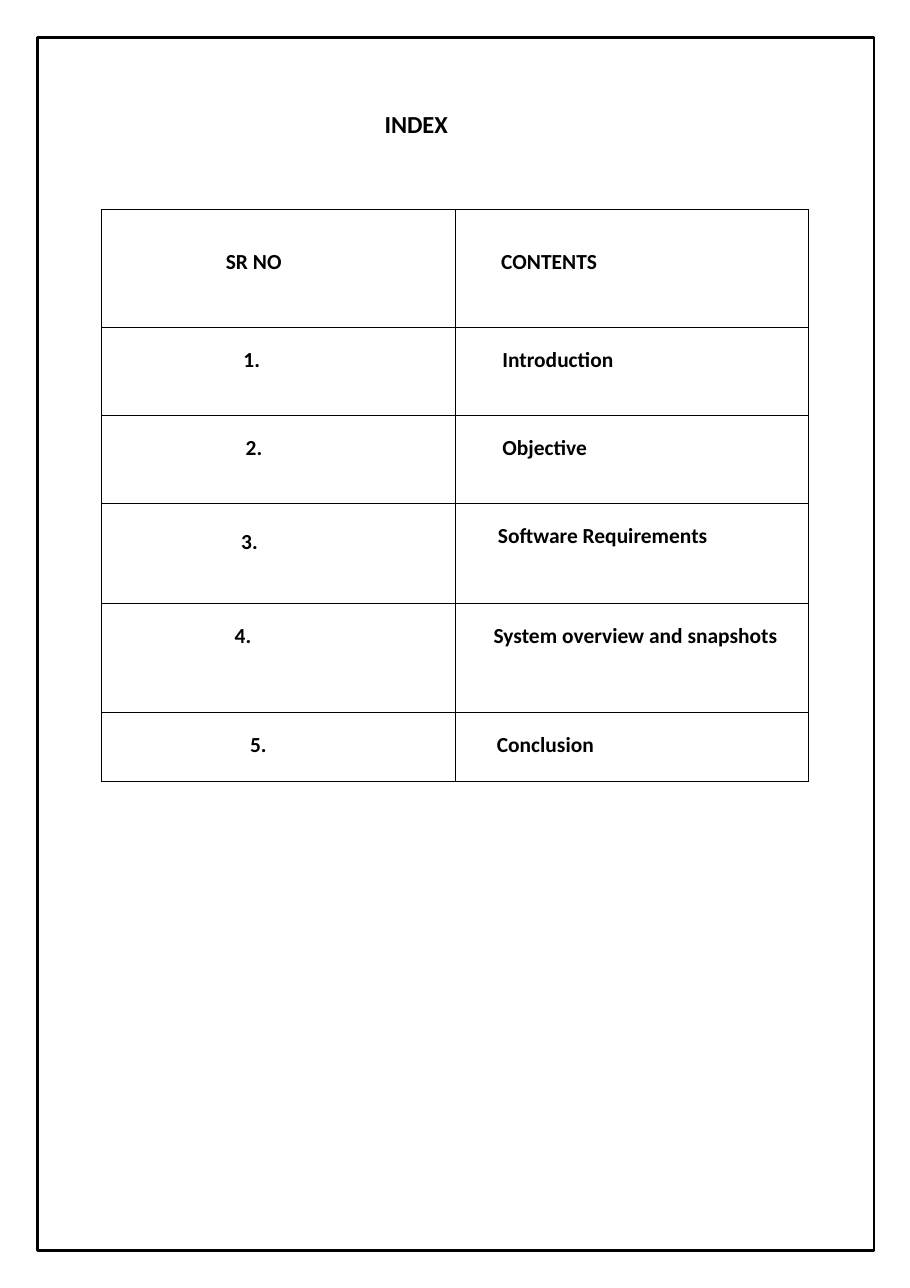
import pptx
import pptx.util
import pptx.dml.color
import pptx.enum.shapes
import pptx.enum.text
import pptx.oxml
import pptx.oxml.ns

Inches = pptx.util.Inches
BLACK = pptx.dml.color.RGBColor(0, 0, 0)
FONT = {"name": "Calibri", "bold": True}
WIDTH = 3.21
TOP = 0.18

# row height, then (text, left inset, top inset) for each cell
ROWS = [
    (1.07, ("SR NO", 1.13, 0.36), ("CONTENTS", 0.42, 0.36)),
    (0.8, ("1.", 1.29, TOP), ("Introduction", 0.43, TOP)),
    (0.8, ("2.", 1.31, TOP), ("Objective", 0.43, TOP)),
    (0.91, ("3.", 1.27, 0.23), ("Software Requirements", 0.39, TOP)),
    (0.99, ("4.", 1.21, TOP), ("System overview and snapshots", 0.35, TOP)),
    (0.62, ("5.", 1.35, TOP), ("Conclusion", 0.38, TOP)),
]


def style(item, values):
    for name, value in values.items():
        setattr(item, name, value)


def write(frame, text, size):
    frame.text = text
    para = frame.paragraphs[0]
    para.alignment = pptx.enum.text.PP_ALIGN.LEFT
    font = para.runs[0].font
    style(font, {**FONT, "size": pptx.util.Pt(size)})
    font.color.rgb = BLACK


def add_title(slide):
    title = slide.shapes.title
    style(title, {"left": Inches(3.49), "top": Inches(0.97),
                  "width": Inches(0.61), "height": Inches(0.3)})
    frame = title.text_frame
    style(frame, {"margin_left": 0, "margin_right": 0, "margin_bottom": 0,
                  "margin_top": Inches(0.02), "word_wrap": False,
                  "auto_size": pptx.enum.text.MSO_AUTO_SIZE.NONE,
                  "vertical_anchor": pptx.enum.text.MSO_ANCHOR.TOP})
    write(frame, "INDEX", 16)


def add_border(cell):
    props = cell._tc.get_or_add_tcPr()
    for spot, side in enumerate("LRTB"):
        line = pptx.oxml.parse_xml(
            f'<a:ln{side} {pptx.oxml.ns.nsdecls("a")} w="{pptx.util.Pt(0.5)}">'
            f'<a:solidFill><a:srgbClr val="{BLACK}"/></a:solidFill>'
            f'</a:ln{side}>')
        props.insert(spot, line)


def fill_cell(cell, text, left, top):
    style(cell, {"margin_left": Inches(left), "margin_top": Inches(top),
                 "margin_right": 0, "margin_bottom": 0,
                 "vertical_anchor": pptx.enum.text.MSO_ANCHOR.TOP})
    cell.fill.background()
    add_border(cell)
    write(cell.text_frame, text, 14)


def add_index(slide):
    height = sum(row[0] for row in ROWS)
    table = slide.shapes.add_table(
        len(ROWS), 2, Inches(0.92), Inches(1.9),
        Inches(2 * WIDTH), Inches(height)).table
    style(table, {"first_row": False, "horz_banding": False})
    for col in table.columns:
        col.width = Inches(WIDTH)
    for r, (tall, *cells) in enumerate(ROWS):
        table.rows[r].height = Inches(tall)
        for c, entry in enumerate(cells):
            fill_cell(table.cell(r, c), *entry)


def add_frame(slide):
    """Draw the page border."""
    frame = slide.shapes.add_shape(
        pptx.enum.shapes.MSO_SHAPE.RECTANGLE,
        Inches(0.34), Inches(0.34), Inches(7.59), Inches(11.01))
    frame.shadow.inherit = False
    frame.fill.background()
    frame.line.color.rgb = BLACK
    frame.line.width = pptx.util.Pt(1.5)


def main():
    deck = pptx.Presentation()
    style(deck, {"slide_width": Inches(8.26), "slide_height": Inches(11.69)})
    slide = deck.slides.add_slide(deck.slide_layouts[5])
    add_title(slide)
    add_index(slide)
    add_frame(slide)
    deck.save("out.pptx")


if __name__ == "__main__":
    main()
